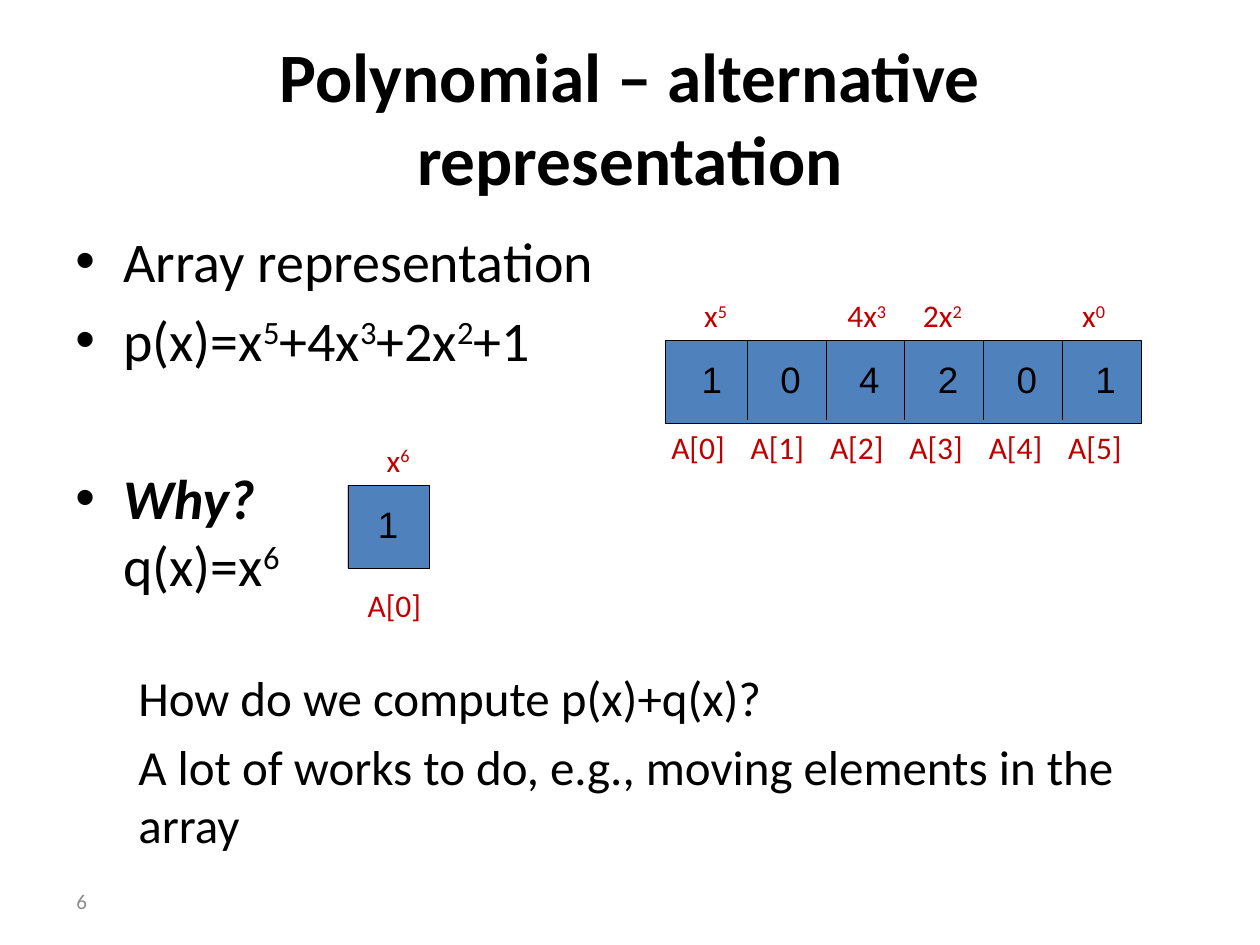
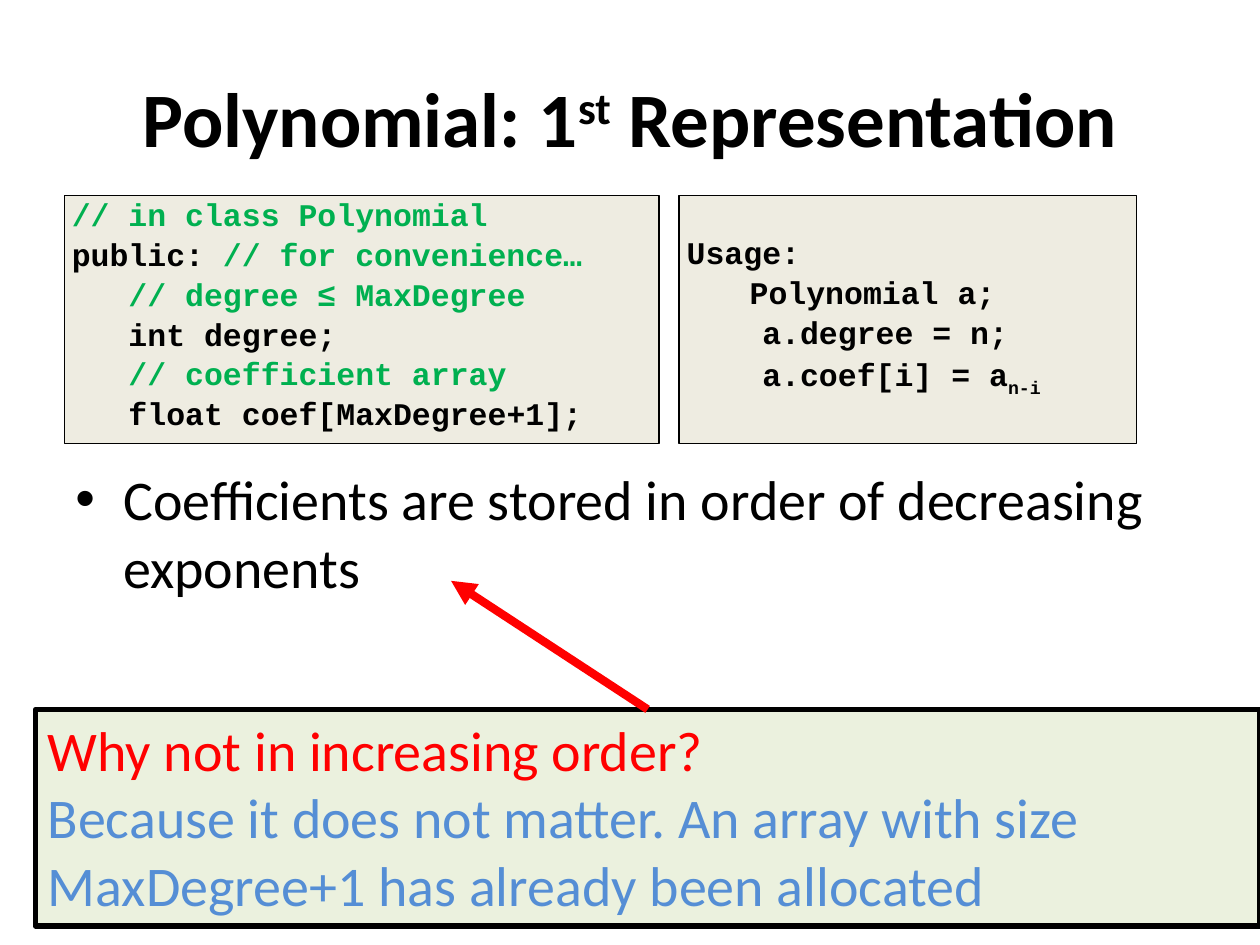
"""Build two slides on representing polynomials with arrays."""
import pptx
import pptx.dml.color
import pptx.enum.shapes
import pptx.enum.text
import pptx.oxml.ns
import pptx.oxml.xmlchemy
import pptx.util

RGB = pptx.dml.color.RGBColor
Inches, Pt = pptx.util.Inches, pptx.util.Pt
ALIGN, ANCHOR = pptx.enum.text.PP_ALIGN, pptx.enum.text.MSO_ANCHOR
qn, new_element = pptx.oxml.ns.qn, pptx.oxml.xmlchemy.OxmlElement

BLACK = RGB(0x00, 0x00, 0x00)
WHITE = RGB(0xFF, 0xFF, 0xFF)
CELL_BLUE = RGB(0x4F, 0x81, 0xBD)
LABEL_RED = RGB(0xC0, 0x00, 0x00)
COMMENT_GREEN = RGB(0x00, 0xB0, 0x50)
CODE_CREAM = RGB(0xEE, 0xEC, 0xE1)
CALLOUT_GREEN = RGB(0xEB, 0xF1, 0xDE)
QUESTION_RED = RGB(0xFF, 0x00, 0x00)
ANSWER_BLUE = RGB(0x55, 0x8E, 0xD5)
NUMBER_GREY = RGB(0x8C, 0x8C, 0x8C)

WIDTH, HEIGHT = 10, 7.5
MARGIN = 0.05 * WIDTH
CONTENT_WIDTH = WIDTH - 2 * MARGIN
TITLE_BOX = (MARGIN, 0.3, CONTENT_WIDTH, 1.25)
BODY_TOP, BODY_PITCH = 1.75, 0.63
FIRST_CELL, CELL_PITCH, CELL_HEIGHT = 0.65, 5 / 8, 0.66
TERM_PITCH, INDEX_PITCH = 0.6, 0.63
CODE_TOP, CODE_HEIGHT, CODE_CHAR = 1.55, 1.97, 0.15

BULLET = dict(bullet=True, indent=0.38)
FOLLOW = dict(indent=0.5, size=28, before=5.6)
COMMENT = dict(color=COMMENT_GREEN)

ALTERNATIVE_TITLE = "Polynomial – alternative representation"
ALTERNATIVE_BODY = [
    ("Array representation", BULLET),
    ("p(x)=x^5^+4x^3^+2x^2^+1", dict(BULLET, before=6.4)),
    ([("Why?\n", dict(bold=True, italic=True)), ("q(x)=x^6^", {})], dict(BULLET, before=52)),
    ("How do we compute p(x)+q(x)?", dict(FOLLOW, before=39.8)),
    ("A lot of works to do, e.g., moving elements in the array", FOLLOW),
]
ARRAYS = [
    dict(left=5.28, top=2.7, width=3.78, digits="104201", digit_left=5.47,
         terms={0: "x^5^", 2: "4x^3^", 3: "2x^2^", 5: "x^0^"},
         term_center=5.68, index_center=5.54, index_drop=0.65),
    dict(left=2.76, top=3.85, width=0.65, digits="1", digit_left=2.9,
         terms={0: "x^6^"}, term_center=3.16, index_center=3.13, index_drop=0.75),
]

FIRST_TITLE = "Polynomial: 1^st^ Representation"
FIRST_BODY = [("Coefficients are stored in order of decreasing exponents", BULLET)]
DECLARATION = [
    (0, [("// in class Polynomial", COMMENT)]),
    (0, [("public: ", {}), ("// for convenience…", COMMENT)]),
    (3, [("// degree ≤ MaxDegree", COMMENT)]),
    (3, "int degree;"),
    (3, [("// coefficient array", COMMENT)]),
    (3, "float coef[MaxDegree+1];"),
]
USAGE = [
    (0, "Usage:"),
    (3.33, "Polynomial a;"),
    (4, "a.degree = n;"),
    (4, [("a.coef[i] = a", {}), ("n-i", dict(baseline=-25))]),
]
CODE_PANELS = [(0.51, 4.72, DECLARATION), (5.39, 3.63, USAGE)]
CALLOUT_BOX = (0.28, 5.63, 9.72, 1.72)
CALLOUT = [
    ("Why not in increasing order?", dict(color=QUESTION_RED)),
    ("Because it does not matter. An array with size MaxDegree+1 has already been allocated",
     dict(color=ANSWER_BLUE)),
]
ARROW = ((5.14, 5.63), (3.58, 4.61))


def add_runs(paragraph, text, size=32, font="Calibri", color=BLACK, bold=False,
             italic=False, baseline=0):
    """Add text to a paragraph, raising whatever stands between carets."""
    for position, part in enumerate(text.split("^")):
        for number, piece in enumerate(part.split("\n")):
            if number:
                paragraph.add_line_break()
            if not piece:
                continue
            run = paragraph.add_run()
            run.text = piece
            run.font.size, run.font.name = Pt(size), font
            run.font.bold, run.font.italic = bold, italic
            run.font.color.rgb = color
            shift = 30 if position % 2 else baseline
            if shift:
                run.font._element.set("baseline", str(shift * 1000))


def write(slide, box, content, shape=None, align=ALIGN.LEFT, anchor=ANCHOR.TOP,
          insets=(0.1, 0.05), wrap=True, **base):
    """Write a string or (text, format) paragraphs in a box or a given shape."""
    shape = shape or slide.shapes.add_textbox(*map(Inches, box))
    frame = shape.text_frame
    frame.word_wrap, frame.vertical_anchor = wrap, anchor
    frame.margin_left = frame.margin_right = Inches(insets[0])
    frame.margin_top = frame.margin_bottom = Inches(insets[1])
    paragraphs = [(content, {})] if isinstance(content, str) else content
    for number, (text, own) in enumerate(paragraphs):
        style = {**base, **own}
        paragraph = frame.add_paragraph() if number else frame.paragraphs[0]
        paragraph.alignment = align
        paragraph.space_before = Pt(style.pop("before", 0))
        paragraph.line_spacing = style.pop("spacing", 1.0)
        indent, bullet = Inches(style.pop("indent", 0)), style.pop("bullet", False)
        properties = paragraph._p.get_or_add_pPr()
        properties.set("marL", str(indent))
        properties.set("indent", str(-indent if bullet else 0))
        if bullet:
            font = new_element("a:buFont")
            font.set("typeface", "Arial")
            mark = new_element("a:buChar")
            mark.set("char", "•")
            properties.extend([font, mark])
        for piece, extra in [(text, {})] if isinstance(text, str) else text:
            add_runs(paragraph, piece, **{**style, **extra})


def add_panel(slide, box, fill, line_width):
    panel = slide.shapes.add_shape(pptx.enum.shapes.MSO_SHAPE.RECTANGLE, *map(Inches, box))
    panel.shadow.inherit = False
    panel.fill.solid()
    panel.fill.fore_color.rgb = fill
    panel.line.color.rgb = BLACK
    panel.line.width = Pt(line_width)
    return panel


def add_line(slide, start, end, color, width, arrow=False):
    line = slide.shapes.add_connector(
        pptx.enum.shapes.MSO_CONNECTOR.STRAIGHT, *map(Inches, (*start, *end)))
    line.line.color.rgb = color
    line.line.width = Pt(width)
    if arrow:
        head = new_element("a:tailEnd")
        head.set("type", "triangle")
        line._element.spPr.find(qn("a:ln")).append(head)
    line._element.spPr.append(new_element("a:effectLst"))


def add_label(slide, center, top, text):
    write(slide, (center - 0.4, top, 0.8, 0.4), text, align=ALIGN.CENTER,
          wrap=False, size=18, color=LABEL_RED)


def add_array(slide, left, top, width, digits, digit_left, terms, term_center,
              index_center, index_drop):
    add_panel(slide, (left, top, width, CELL_HEIGHT), CELL_BLUE, 0.25)
    for cell, digit in enumerate(digits):
        if cell:
            x = left + FIRST_CELL + (cell - 1) * CELL_PITCH
            add_line(slide, (x, top), (x, top + 0.63), BLACK, 0.25)
        write(slide, (digit_left + cell * CELL_PITCH, top + 0.08, 0.39, 0.45), digit,
              size=21, font="Arial")
        add_label(slide, index_center + cell * INDEX_PITCH, top + index_drop, f"A[{cell}]")
    for cell, term in terms.items():
        add_label(slide, term_center + cell * TERM_PITCH, top - 0.4, term)


def add_slide(deck, title, title_size, body, body_row=0):
    slide = deck.slides.add_slide(deck.slide_layouts[6])
    slide.background.fill.solid()
    slide.background.fill.fore_color.rgb = WHITE
    write(slide, TITLE_BOX, title, align=ALIGN.CENTER, anchor=ANCHOR.MIDDLE,
          size=title_size, bold=True)
    top = BODY_TOP + body_row * BODY_PITCH
    write(slide, (MARGIN, top, CONTENT_WIDTH, 6.7 - top), body)
    return slide


def main():
    deck = pptx.Presentation()
    deck.slide_width, deck.slide_height = Inches(WIDTH), Inches(HEIGHT)

    alternative = add_slide(deck, ALTERNATIVE_TITLE, 39.6, ALTERNATIVE_BODY)
    for array in ARRAYS:
        add_array(alternative, **array)
    write(alternative, (0.19, 6.95, 0.6, 0.4), "6", align=ALIGN.RIGHT,
          anchor=ANCHOR.MIDDLE, size=12, color=NUMBER_GREY)

    first = add_slide(deck, FIRST_TITLE, 44, FIRST_BODY, body_row=3)
    for left, width, code in CODE_PANELS:
        box = (left, CODE_TOP, width, CODE_HEIGHT)
        lines = [(text, dict(indent=chars * CODE_CHAR)) for chars, text in code]
        write(first, box, lines, shape=add_panel(first, box, CODE_CREAM, 0.75),
              anchor=ANCHOR.MIDDLE, insets=(0.06, 0.13), size=18, font="Courier New",
              bold=True, spacing=0.6, before=9.8)
    write(first, CALLOUT_BOX, CALLOUT, shape=add_panel(first, CALLOUT_BOX, CALLOUT_GREEN, 3))
    add_line(first, *ARROW, QUESTION_RED, 4.75, arrow=True)

    deck.save("out.pptx")


if __name__ == "__main__":
    main()
